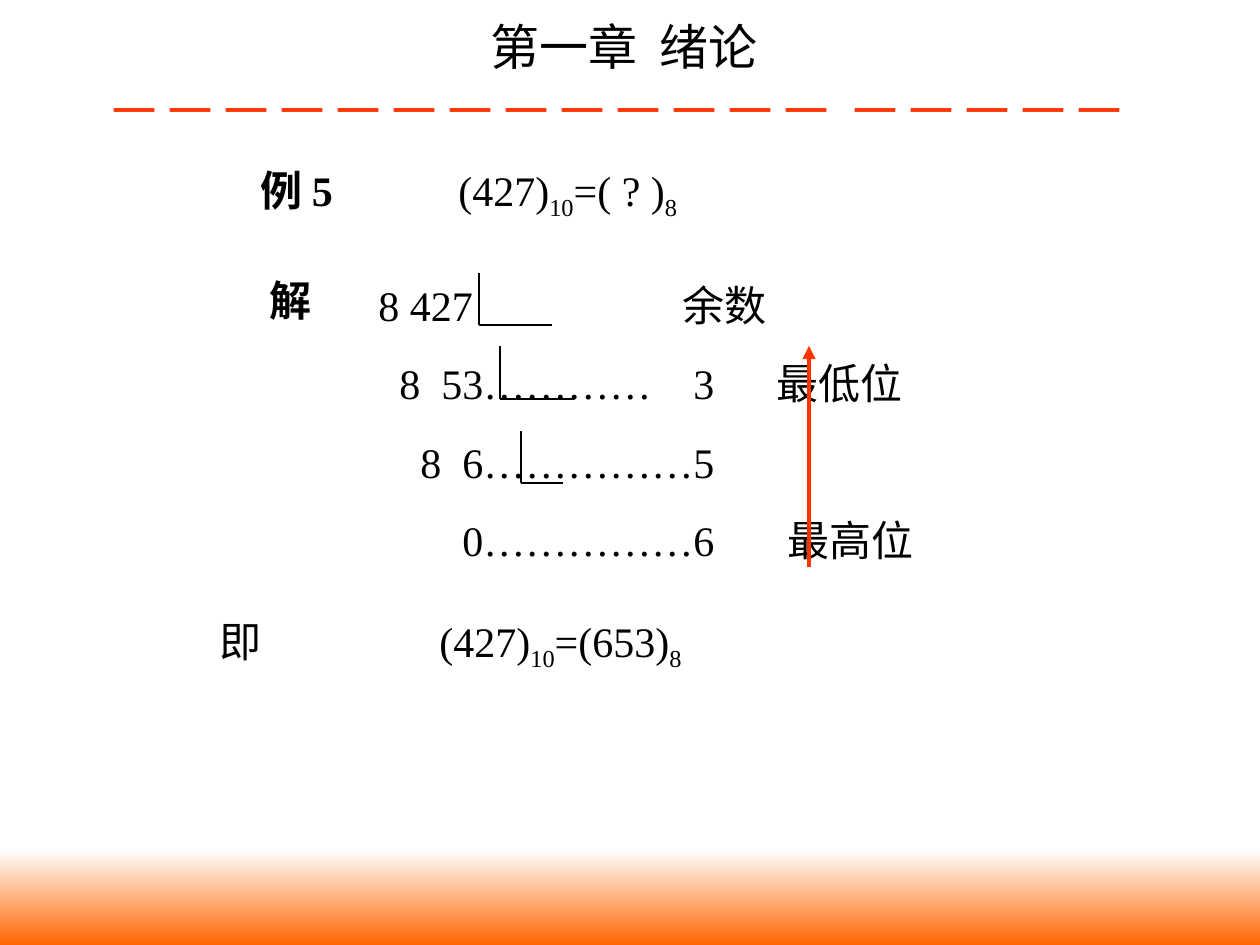
from lxml import etree
from pptx import Presentation
from pptx.dml.color import RGBColor
from pptx.enum.shapes import MSO_CONNECTOR, MSO_SHAPE
from pptx.enum.text import PP_ALIGN
from pptx.oxml.ns import qn
from pptx.util import Pt

EMU_PER_PX = 914400 / 126
WIDTH, HEIGHT = 1260, 945
STRAIGHT = MSO_CONNECTOR.STRAIGHT
RECTANGLE = MSO_SHAPE.RECTANGLE
CENTER = PP_ALIGN.CENTER

BLACK = RGBColor(0x00, 0x00, 0x00)
WHITE = RGBColor(0xFF, 0xFF, 0xFF)
ORANGE = RGBColor(0xFF, 0x66, 0x00)
RED = RGBColor(0xFF, 0x33, 0x00)
SERIF = "Times New Roman"
SANS = "Noto Sans CJK SC"

# Each row of the division: text and the tab stops of its columns
DIVISION_ROWS = [
    ("\t8 427\t余数", (21, 325)),
    ("\t8\t53…………\t3\t最低位", (42, 84, 336, 419)),
    ("\t8\t6……………5", (63, 105)),
    ("\t0……………6\t最高位", (105, 430)),
]
# Left, top, bottom and right of each division sign
DIVISION_SIGNS = [
    (479, 273, 325, 552),
    (500, 346, 399, 574),
    (521, 431, 483, 563),
]


def px(length):
    return round(length * EMU_PER_PX)


def add_text_frame(slide, left, top, width, height):
    box = slide.shapes.add_textbox(px(left), px(top), px(width), px(height))
    box.text_frame.word_wrap = True
    return box.text_frame


def style_paragraph(paragraph, size=24, font=SERIF, color=BLACK, tabs=()):
    if tabs:
        tab_list = etree.SubElement(paragraph._p.get_or_add_pPr(), qn("a:tabLst"))
        for position in tabs:
            etree.SubElement(tab_list, qn("a:tab"), pos=str(px(position)), algn="l")
    paragraph.font.size = Pt(size)
    paragraph.font.name = font
    paragraph.font.color.rgb = color


def add_label(slide, text, left, top, bold=False):
    paragraph = add_text_frame(slide, left, top, 67, 63).paragraphs[0]
    paragraph.text = text
    style_paragraph(paragraph)
    paragraph.font.bold = bold


def add_equation(paragraph, right_digits):
    """Append the decimal number and its octal form, bases as subscripts."""
    for text, is_base in [("(427)", False), ("10", True),
                          (f"=({right_digits})", False), ("8", True)]:
        run = paragraph.add_run()
        run.text = text
        if is_base:
            run.font._element.set("baseline", "-25000")


def add_line(slide, start, end, color=BLACK, width=0.75, arrow=False):
    line = slide.shapes.add_connector(STRAIGHT, *map(px, start + end))
    line.line.color.rgb = color
    line.line.width = Pt(width)
    if arrow:
        etree.SubElement(line.line._get_or_add_ln(), qn("a:tailEnd"), type="triangle")
    etree.SubElement(line._element.spPr, qn("a:effectLst"))


def add_bottom_band(slide):
    band = slide.shapes.add_shape(RECTANGLE, 0, px(850), px(WIDTH), px(HEIGHT - 850))
    band.shadow.inherit = False
    band.line.fill.background()
    band.fill.gradient()
    band.fill.gradient_angle = 270
    for stop, color in zip(band.fill.gradient_stops, (WHITE, ORANGE)):
        stop.color.rgb = color


def add_header(slide):
    frame = add_text_frame(slide, 94, 10, 1071, 139)
    title = frame.paragraphs[0]
    title.text = "第一章  绪论 "
    title.alignment = CENTER
    style_paragraph(title, 28, SANS)
    rule = frame.add_paragraph()
    rule.text = "－－－－－－－－－－－－－ －－－－－"
    style_paragraph(rule, 32, color=RED)


def add_question(slide):
    question = add_text_frame(slide, 248, 158, 643, 71).paragraphs[0]
    heading = question.add_run()
    heading.text = "例 5\t"
    heading.font.bold = True
    add_equation(question, " ? ")
    style_paragraph(question, tabs=(198,))


def add_division(slide):
    frame = add_text_frame(slide, 345, 246, 707, 325)
    for index, (text, tabs) in enumerate(DIVISION_ROWS):
        row = frame.add_paragraph() if index else frame.paragraphs[0]
        row.text = text
        row.line_spacing = 1.55
        style_paragraph(row, tabs=tabs)
    for left, top, bottom, right in DIVISION_SIGNS:
        add_line(slide, (left, top), (left, bottom))
        add_line(slide, (left, bottom), (right, bottom))


def add_result(slide):
    result = add_text_frame(slide, 427, 609, 299, 71).paragraphs[0]
    add_equation(result, "653")
    style_paragraph(result)


def main():
    presentation = Presentation()
    presentation.slide_width = px(WIDTH)
    presentation.slide_height = px(HEIGHT)
    slide = presentation.slides.add_slide(presentation.slide_layouts[6])
    add_bottom_band(slide)
    add_header(slide)
    add_question(slide)
    add_division(slide)
    add_result(slide)
    add_label(slide, "即", 207, 609)
    add_label(slide, "解", 257, 268, bold=True)
    add_line(slide, (809, 567), (809, 346), RED, 2.5, arrow=True)
    presentation.save("out.pptx")


if __name__ == "__main__":
    main()
